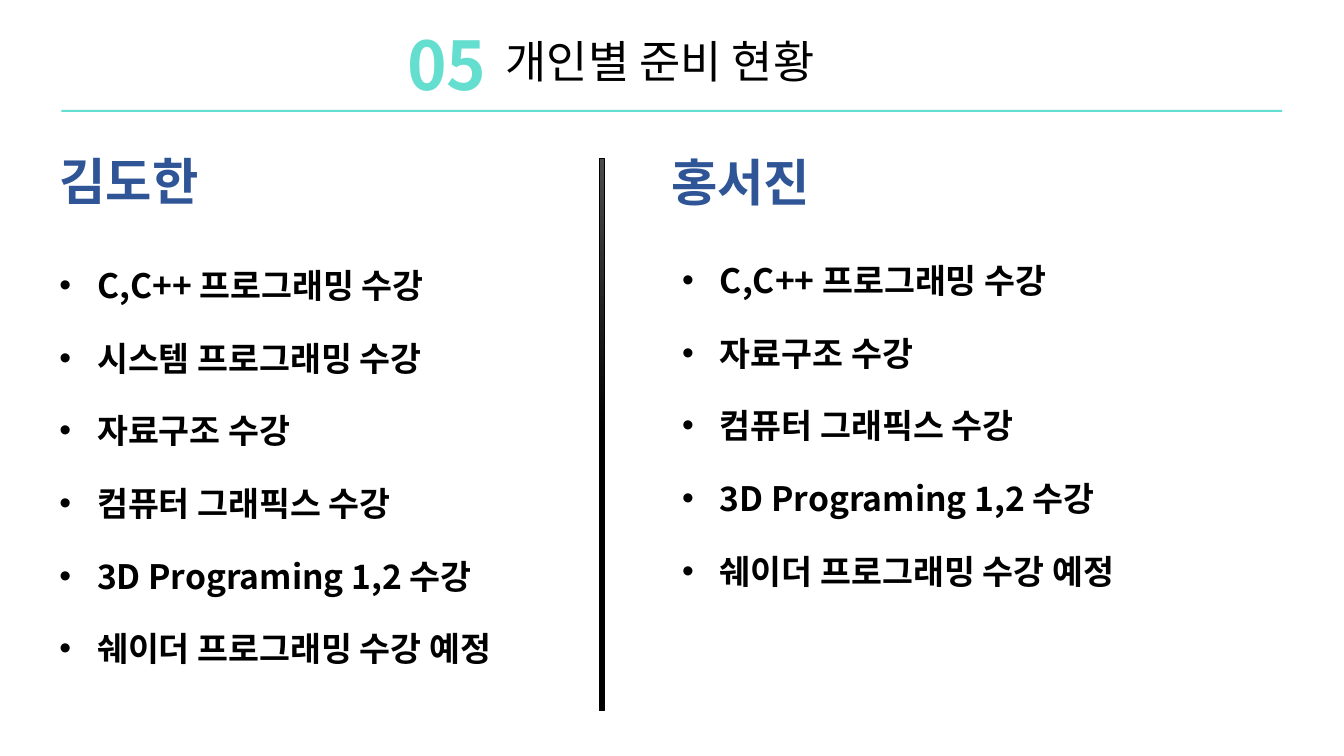
from lxml import etree
from pptx import Presentation
from pptx.dml.color import RGBColor
from pptx.enum.shapes import MSO_SHAPE
from pptx.enum.text import MSO_ANCHOR
from pptx.oxml.ns import qn
from pptx.util import Pt

RECTANGLE = MSO_SHAPE.RECTANGLE
TOP = MSO_ANCHOR.TOP
BOTTOM = MSO_ANCHOR.BOTTOM
MINT = RGBColor(0x64, 0xDE, 0xCF)
NAVY = RGBColor(0x2F, 0x55, 0x97)
BLACK = RGBColor(0x00, 0x00, 0x00)
CHARCOAL = RGBColor(0x4B, 0x4B, 0x4B)
FONT = "Noto Sans CJK KR"
BULLET_INDENT = 27


def add_text(container, lines, box, size, color=BLACK, bold=True, anchor=TOP,
             right_inset=7.2, line_spacing=None, gap=0, bullet=False):
    frame = container.shapes.add_textbox(*[Pt(length) for length in box]).text_frame
    frame.word_wrap = True
    frame.margin_right = Pt(right_inset)
    frame.vertical_anchor = anchor
    for index, line in enumerate(lines):
        paragraph = frame.paragraphs[0] if index == 0 else frame.add_paragraph()
        paragraph.line_spacing = line_spacing
        paragraph.space_before = Pt(gap if index else 0)
        run = paragraph.add_run()
        run.text = line
        run.font.name = FONT
        run.font.size = Pt(size)
        run.font.bold = bold
        run.font.color.rgb = color
        etree.SubElement(run.font._element, qn("a:ea"), typeface=FONT)
        if bullet:
            properties = paragraph._p.get_or_add_pPr()
            properties.set("marL", str(Pt(BULLET_INDENT)))
            properties.set("indent", str(-Pt(BULLET_INDENT)))
            etree.SubElement(properties, qn("a:buFont"), typeface="Arial")
            etree.SubElement(properties, qn("a:buChar"), char="•")


def add_bar(slide, box):
    bar = slide.shapes.add_shape(RECTANGLE, *[Pt(length) for length in box])
    bar.shadow.inherit = False
    return bar


presentation = Presentation()
presentation.slide_width = Pt(960)
presentation.slide_height = Pt(540)
slide = presentation.slides.add_slide(presentation.slide_layouts[6])

title_rule = add_bar(slide, (43.9, 78.5, 872, 1.4))
title_rule.fill.solid()
title_rule.fill.fore_color.rgb = MINT
title_rule.line.fill.background()

heading = slide.shapes.add_group_shape()
add_text(heading, ["개인별 준비 현황"], (354.2, 20.2, 470.9, 46.1), 32, bold=False)
add_text(heading, ["05"], (283.7, 13, 70.6, 65.5), 48, color=MINT, right_inset=0)

divider = add_bar(slide, (428.2, 113, 3.6, 394.6))
divider.fill.gradient()
divider.fill.gradient_angle = 270
for stop, position, color in zip(divider.fill.gradient_stops, (0, 0.5), (CHARCOAL, BLACK)):
    stop.position = position
    stop.color.rgb = color
divider.line.color.rgb = BLACK
divider.line.width = Pt(0.5)

members = [
    ("김도한", (35.3, 103.7, 141.1, 51.1), (35.3, 154.8, 373.7, 326.2),
     ["C,C++ 프로그래밍 수강", "시스템 프로그래밍 수강", "자료구조 수강",
      "컴퓨터 그래픽스 수강", "3D Programing 1,2 수강", "쉐이더 프로그래밍 수강 예정"]),
    ("홍서진", (472.3, 104.4, 123.1, 51.1), (480.2, 171.4, 368.6, 254.2),
     ["C,C++ 프로그래밍 수강", "자료구조 수강", "컴퓨터 그래픽스 수강",
      "3D Programing 1,2 수강", "쉐이더 프로그래밍 수강 예정"]),
]
for name, name_box, course_box, courses in members:
    add_text(slide, [name], name_box, 36, color=NAVY, anchor=BOTTOM, line_spacing=0.9)
    add_text(slide, courses, course_box, 24, anchor=BOTTOM,
             line_spacing=Pt(26), gap=25.9, bullet=True)

presentation.save("out.pptx")
